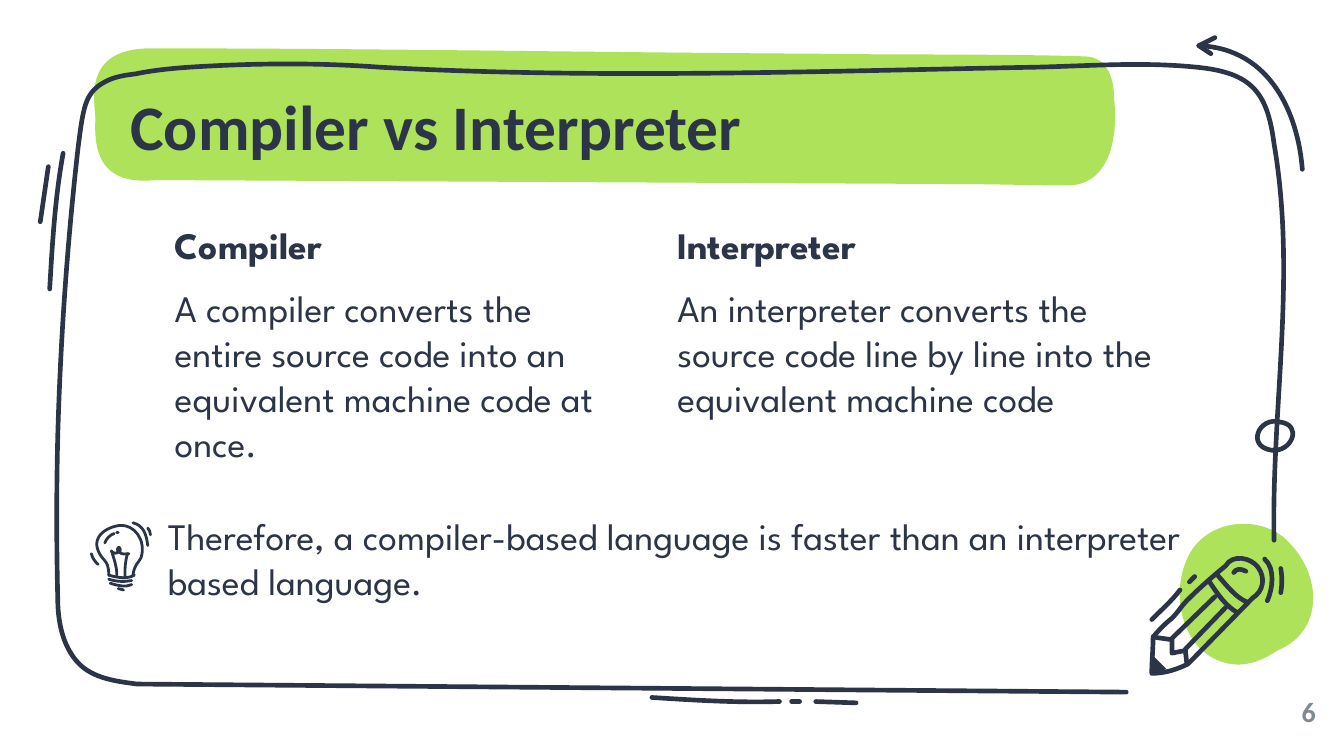
from lxml.etree import SubElement
from pptx import Presentation
from pptx.dml.color import RGBColor
from pptx.enum.text import MSO_ANCHOR, PP_ALIGN
from pptx.oxml.ns import qn
from pptx.util import Pt

COLORS = {"ink": "2B3547", "green": "AEE25A", "grey": "7F8B91"}
FONTS = {"head": "Calibri", "body": "League Spartan"}
UNIT = 0.72  # points in one unit of the outlines below

TITLE_BLOB = """M829,74 C829,58 824,43 808,42 C741,40 675,41 608,40 C435,39 285,36 112,36
    C60,36 71,77 71,89 C69,125 85,137 116,134 L316,135 L715,137
    C742,137 768,138 794,138 C826,138 832,102 829,74 Z"""
PENCIL_BLOB = """M967,414 C955,390 918,381 896,400 C871,422 866,474 902,490
    C914,495 926,493 938,489 C975,484 984,444 967,414 Z"""

FRAME_STROKES = [
    # border
    """M948,402 C946,303 965,206 948,107 C943,69 932,54 890,50 C850,46 812,49 772,50
    C609,53 445,59 282,50 C241,47 200,47 159,49 C140,50 120,51 101,55 C93,56 85,57 78,61
    C63,69 62,80 58,111 C50,182 45,253 43,325 C42,365 42,405 43,445
    C43,461 46,480 58,493 C69,505 87,507 102,509 C347,511 593,513 838,515""",
    # curved arrow
    "M969,126 C966,86 946,36 892,34 M904,28 L892,34 L901,40",
    # ring
    "M952,314 C937,310 927,332 946,335 C961,337 970,316 952,314 Z",
    # dashes below
    "M485,519 C517,521 548,523 580,522",
    "M589,522 L595,522",
    "M607,522 L637,523",
    # ticks at left
    "M47,114 C41,147 39,181 37,215",
    "M36,124 L30,165",
]
PENCIL = """M857,461 C864,454 872,447 878,439 M885,433 L889,429
    M953,423 C954,429 954,435 953,441 M941,416 C949,423 947,438 943,447
    M918,426 C920,423 923,423 927,425
    M858,474 C862,469 867,464 872,460 C877,455 879,451 883,447 C892,438 901,430 912,421
    C917,412 931,415 936,422 C942,430 940,440 932,445 L884,494
    C876,498 867,501 857,501 C857,492 858,483 858,474 Z
    M900,433 C906,442 912,451 921,456 M906,428 C913,436 920,445 928,448
    M904,444 L872,475 M912,452 L882,483
    M858,474 L872,476 L872,486 L882,484 L883,493"""
PENCIL_TIP = "M858,488 L868,498 L857,501 Z"
BULB = """M81,428 C81,422 80,419 77,416 C74,413 72,408 72,405 C72,397 81,392 89,391
    C100,390 109,402 105,415 C103,419 100,420 99,428
    M81,428 C88,430 95,431 100,428 M81,431 C87,433 93,433 98,432
    M82,434 C88,436 94,437 98,435 M88,438 L92,439
    M68,412 C69,416 71,418 73,420 M110,393 C111,394 112,396 112,398
    M99,389 C107,391 109,398 110,406
    M83,410 C85,416 87,422 87,428 M95,412 C93,418 93,423 93,429
    M83,410 C84,412 87,412 88,411 C86,406 91,406 89,411 C91,413 94,412 96,412
    M87,396 L88,396 M78,404 C79,401 82,398 85,397"""


def rgb(name):
    return RGBColor.from_string(COLORS[name])


def outline_points(outline):
    return [tuple(Pt(float(value) * UNIT) for value in token.lstrip("MCL").split(","))
            for token in outline.split()]


def bend_curves(shape, outline):
    """Turn each three line segments that stand for a C command into one curve."""
    path_element = shape._element.find(".//" + qn("a:path"))
    segments = iter(path_element.findall(qn("a:lnTo")))
    for token in outline.split():
        if token[0] == "L":
            next(segments)
        elif token[0] == "C":
            curve = next(segments)
            curve.tag = qn("a:cubicBezTo")
            for segment in (next(segments), next(segments)):
                curve.append(segment[0])
                path_element.remove(segment)


class SketchSlide:
    def __init__(self, presentation):
        self.slide = presentation.slides.add_slide(presentation.slide_layouts[6])

    def freeform(self, outline):
        builder = None
        for part in outline.split("M")[1:]:
            start, *rest = outline_points(part.replace("Z", ""))
            if builder is None:
                builder = self.slide.shapes.build_freeform(*start, scale=1.0)
            else:
                builder.move_to(*start)
            builder.add_line_segments(rest, close="Z" in part)
        shape = builder.convert_to_shape()
        bend_curves(shape, outline)
        shape.shadow.inherit = False
        return shape

    def solid(self, outline, color, rotation=0):
        shape = self.freeform(outline)
        shape.fill.solid()
        shape.fill.fore_color.rgb = rgb(color)
        shape.line.fill.background()
        shape.rotation = rotation

    def stroke(self, outline, width=2.5):
        """Draw an unfilled pen line with round ends and corners."""
        shape = self.freeform(outline)
        shape.fill.background()
        shape.line.color.rgb = rgb("ink")
        shape.line.width = Pt(width)
        line = shape._element.spPr.find(qn("a:ln"))
        line.set("cap", "rnd")
        SubElement(line, qn("a:round"))

    def text(self, box, paragraphs, anchor=MSO_ANCHOR.TOP, color="ink", **paragraph_format):
        """Write paragraphs, each a (text, font values, paragraph values) triple."""
        frame = self.slide.shapes.add_textbox(*(Pt(length) for length in box)).text_frame
        frame.word_wrap = True
        frame.vertical_anchor = anchor
        for side in ("left", "top", "right", "bottom"):
            setattr(frame, f"margin_{side}", 0)
        for index, (words, font, spacing) in enumerate(paragraphs):
            paragraph = frame.add_paragraph() if index else frame.paragraphs[0]
            run = paragraph.add_run()
            run.text = words
            run.font.color.rgb = rgb(color)
            for name, value in font.items():
                setattr(run.font, name, value)
            for name, value in {**paragraph_format, **spacing}.items():
                setattr(paragraph, name, value)


def main():
    presentation = Presentation()
    presentation.slide_width, presentation.slide_height = Pt(720), Pt(405)
    sketch = SketchSlide(presentation)

    sketch.solid(PENCIL_BLOB, "green", rotation=345.3)
    sketch.solid(TITLE_BLOB, "green")
    for outline in FRAME_STROKES:
        sketch.stroke(outline)

    body = {"name": FONTS["body"], "size": Pt(20), "bold": False}
    heading = {**body, "bold": True}
    title = {"name": FONTS["head"], "size": Pt(34), "bold": True}
    number = {**title, "size": Pt(15)}

    sketch.text((69.84, 54, 506, 31), [("Compiler vs Interpreter", title, {})],
                anchor=MSO_ANCHOR.MIDDLE, line_spacing=0.9)
    columns = [
        (93.6, 236.2, "Compiler",
         "A compiler converts the entire source code into an equivalent machine code at once."),
        (362.9, 257.8, "Interpreter",
         "An interpreter converts the source code line by line into the equivalent machine code"),
    ]
    for left, width, name, description in columns:
        sketch.text((left, 118.8, width, 147.6),
                    [(name, heading, {}), (description, body, {"space_before": Pt(10)})])
    sketch.text((661.7, 369.4, 43.2, 23.8), [("6", number, {})],
                anchor=MSO_ANCHOR.MIDDLE, color="grey", alignment=PP_ALIGN.RIGHT)

    sketch.stroke(PENCIL)
    sketch.solid(PENCIL_TIP, "ink")
    conclusion = ("Therefore, a compiler-based language is faster than "
                  "an interpreter based language.")
    sketch.text((90, 275, 552.2, 55.4), [(conclusion, body, {"space_after": Pt(10)})])
    sketch.stroke(BULB, width=1.5)

    presentation.save("out.pptx")


if __name__ == "__main__":
    main()
